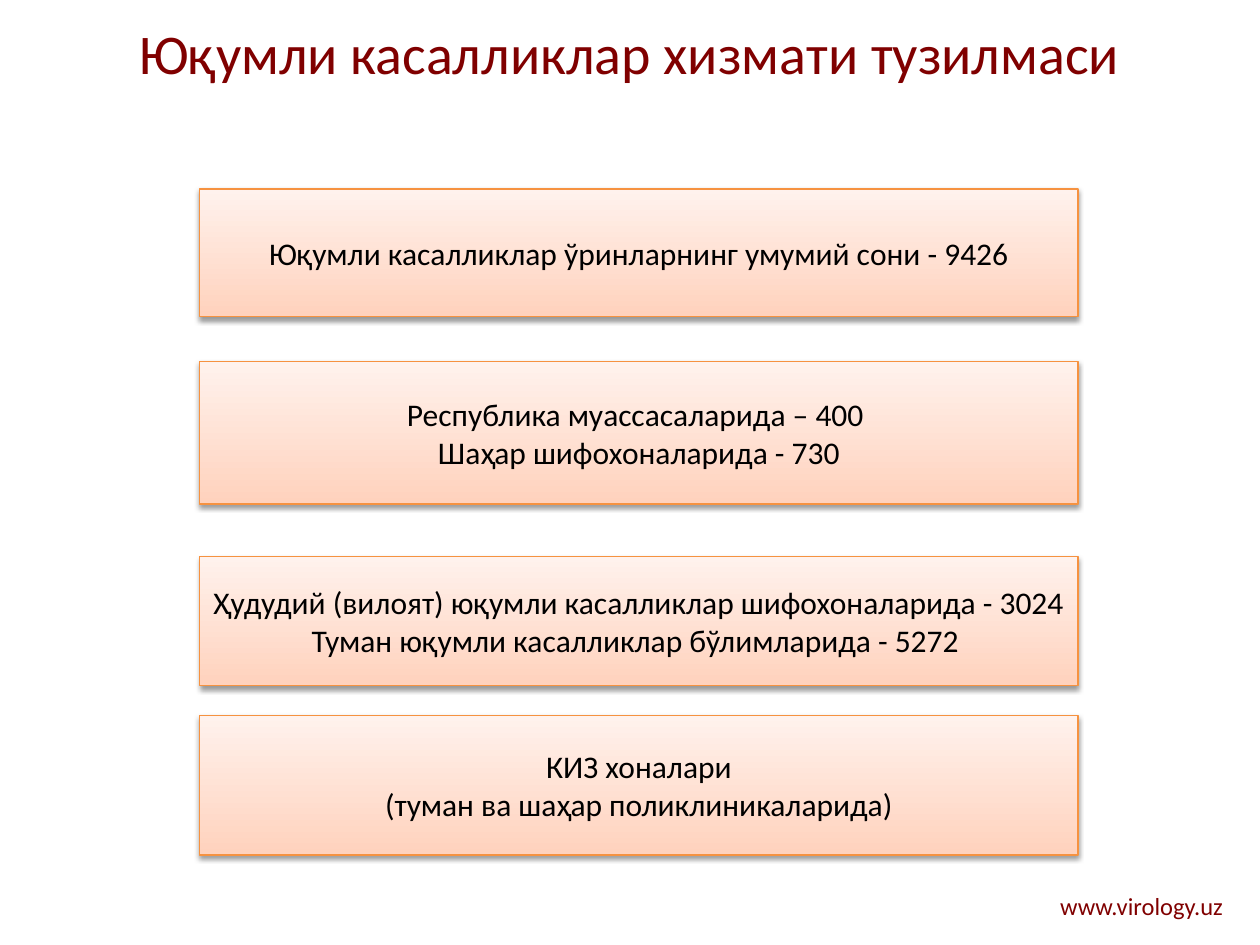
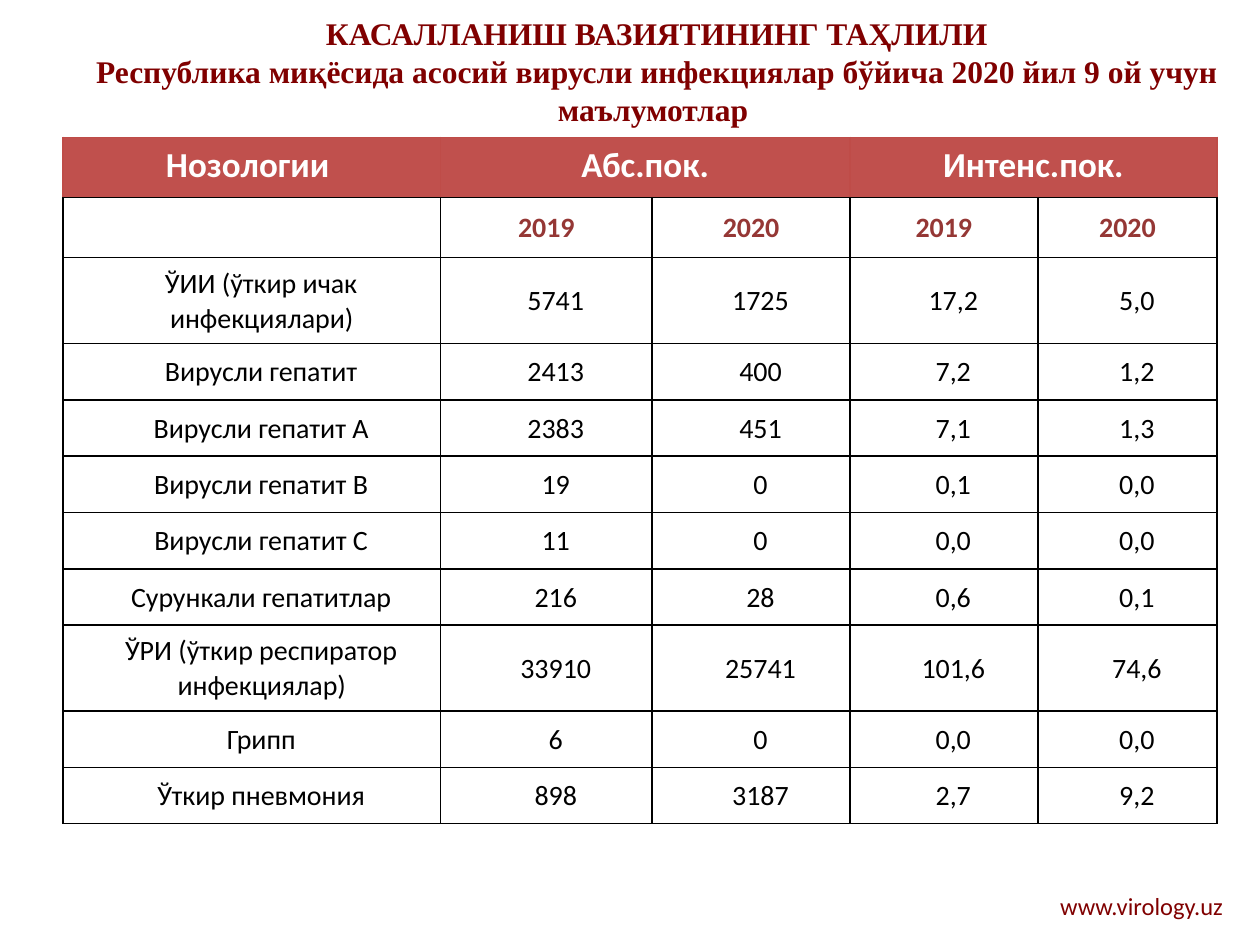
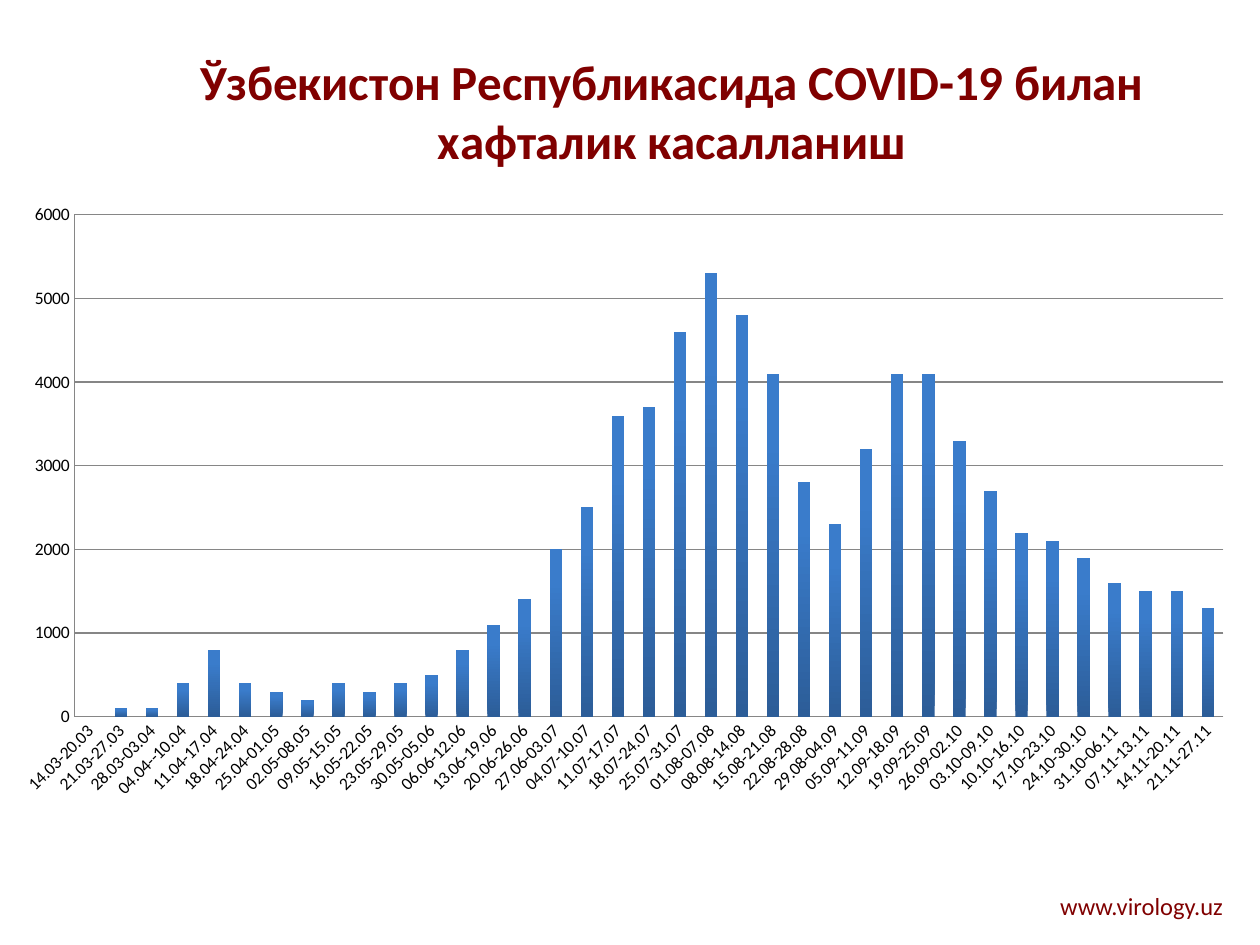
from pptx import Presentation
from pptx.chart.data import CategoryChartData
from pptx.dml.color import RGBColor
from pptx.enum.chart import XL_CHART_TYPE as ChartType, XL_TICK_MARK as TickMark
from pptx.enum.shapes import MSO_SHAPE as Preset
from pptx.enum.text import MSO_ANCHOR as Anchor, PP_ALIGN as Align
from pptx.oxml import parse_xml
from pptx.oxml.ns import nsdecls, qn
from pptx.util import Pt

MAROON = RGBColor(0x80, 0x00, 0x00)
BLACK = RGBColor(0x00, 0x00, 0x00)
WHITE = RGBColor(0xFF, 0xFF, 0xFF)
GRAY = RGBColor(0x86, 0x86, 0x86)
ORANGE = RGBColor(0xF6, 0x92, 0x40)
PEACH = RGBColor(0xFF, 0xD2, 0xBD)
PALE_PEACH = RGBColor(0xFF, 0xF2, 0xED)
HEADER_RED = RGBColor(0xC0, 0x50, 0x4D)
HEADER_EDGE = RGBColor(0xBF, 0x4C, 0x48)
YEAR_RED = RGBColor(0x95, 0x37, 0x35)
DARK_BLUE = RGBColor(0x2C, 0x5D, 0x98)
BLUE = RGBColor(0x3A, 0x7C, 0xCB)

TITLE = {"name": "Calibri", "size": Pt(32), "color": MAROON}
ANALYSIS_TITLE = {"name": "Times New Roman", "size": Pt(18), "color": MAROON, "bold": True}
CHART_TITLE = {"name": "Calibri", "size": Pt(28), "color": MAROON, "bold": True}
FOOTER = {"name": "Calibri", "size": Pt(14), "color": MAROON}
BOX_TEXT = {"name": "Calibri", "size": Pt(18), "color": BLACK}
HEADER_TEXT = {"name": "Calibri", "size": Pt(20), "color": WHITE, "bold": True}
YEAR_TEXT = {"name": "Calibri", "size": Pt(16), "color": YEAR_RED, "bold": True}
CELL_TEXT = {"name": "Calibri", "size": Pt(16), "color": BLACK, "bold": False}
AXIS_TEXT = {"name": "Calibri", "size": Pt(10), "color": BLACK}

BOX_LEFT, BOX_WIDTH = 114.2, 501.8
BED_BOXES = [  # top, height, lines
    (108, 73, ["Юқумли касалликлар ўринларнинг умумий сони - 9426"]),
    (206.6, 81.4, ["Республика муассасаларида – 400 ", "Шаҳар шифохоналарида - 730"]),
    (317.9, 73.8, ["Ҳудудий (вилоят) юқумли касалликлар шифохоналарида - 3024",
                   "Туман юқумли касалликлар бўлимларида - 5272 "]),
    (408.7, 80, ["КИЗ хоналари", "(туман ва шаҳар поликлиникаларида)"]),
]

COLUMN_WIDTHS = [215.7, 121, 113, 107.4, 102.4]
HEADER_HEIGHT, ROW_HEIGHT, TALL_ROW_HEIGHT = 34.4, 32.2, 49.1
HEADINGS = {0: "Нозологии ", 1: "Абс.пок.", 3: "Интенс.пок."}
YEARS = ["", "2019", "2020", "2019", "2020"]
CASES = [
    ["ЎИИ (ўткир ичак инфекциялари)", "5741", "1725", "17,2", "5,0"],
    ["Вирусли гепатит", "2413", "400", "7,2", "1,2"],
    ["Вирусли гепатит А", "2383", "451", "7,1", "1,3"],
    ["Вирусли гепатит В", "19", "0", "0,1", "0,0"],
    ["Вирусли гепатит С", "11", "0", "0,0", "0,0"],
    ["Сурункали гепатитлар", "216", "28", "0,6", "0,1"],
    ["ЎРИ (ўткир респиратор инфекциялар)", "33910", "25741", "101,6", "74,6"],
    ["Грипп", "6", "0", "0,0", "0,0"],
    ["Ўткир пневмония", "898", "3187", "2,7", "9,2"],
]

CHART_WIDTH, CHART_HEIGHT = 720, 473.8
WEEKLY_CASES = {
    "14.03-20.03": 0, "21.03-27.03": 100, "28.03-03.04": 100, "04.04--10.04": 400,
    "11.04-17.04": 800, "18.04-24.04": 400, "25.04-01.05": 300, "02.05-08.05": 200,
    "09.05-15.05": 400, "16.05-22.05": 300, "23.05-29.05": 400, "30.05-05.06": 500,
    "06.06-12.06": 800, "13.06-19.06": 1100, "20.06-26.06": 1400, "27.06-03.07": 2000,
    "04.07-10.07": 2500, "11.07-17.07": 3600, "18.07-24.07": 3700, "25.07-31.07": 4600,
    "01.08-07.08": 5300, "08.08-14.08": 4800, "15.08-21.08": 4100, "22.08-28.08": 2800,
    "29.08-04.09": 2300, "05.09-11.09": 3200, "12.09-18.09": 4100, "19.09-25.09": 4100,
    "26.09-02.10": 3300, "03.10-09.10": 2700, "10.10-16.10": 2200, "17.10-23.10": 2100,
    "24.10-30.10": 1900, "31.10-06.11": 1600, "07.11-13.11": 1500, "14.11-20.11": 1500,
    "21.11-27.11": 1300,
}


def format_font(font, style):
    for name, value in style.items():
        if name == "color":
            font.color.rgb = value
        else:
            setattr(font, name, value)


def write_lines(frame, lines, style, alignment=Align.CENTER):
    """Write each line as one paragraph of the text frame."""
    frame.word_wrap = True
    for index, line in enumerate(lines):
        paragraph = frame.add_paragraph() if index else frame.paragraphs[0]
        paragraph.alignment = alignment
        run = paragraph.add_run()
        run.text = line
        format_font(run.font, style)


def add_text(slide, bounds, lines, style, alignment=Align.CENTER, anchor=Anchor.MIDDLE):
    frame = slide.shapes.add_textbox(*map(Pt, bounds)).text_frame
    frame.vertical_anchor = anchor
    write_lines(frame, lines, style, alignment)


def add_slide(presentation):
    """Add a blank slide with the shared web address at the foot."""
    slide = presentation.slides.add_slide(presentation.slide_layouts[6])
    add_text(slide, (389.9, 505.4, 316.1, 24.5), ["www.virology.uz"], FOOTER,
             Align.RIGHT, Anchor.TOP)
    return slide


def fill_upwards(fill, bottom, top, reach=1.0):
    """Blend from the bottom colour to the top one, which is met at reach."""
    fill.gradient()
    fill.gradient_angle = 90
    for stop, color, position in zip(fill.gradient_stops, (bottom, top), (0, reach)):
        stop.color.rgb = color
        stop.position = position


def add_box(slide, top, height, lines):
    box = slide.shapes.add_shape(Preset.RECTANGLE, Pt(BOX_LEFT), Pt(top), Pt(BOX_WIDTH), Pt(height))
    fill_upwards(box.fill, PEACH, PALE_PEACH)
    box.line.color.rgb = ORANGE
    box.line.width = Pt(0.75)
    box.shadow.inherit = False
    effects = box.element.spPr.find(qn("a:effectLst"))
    effects.append(parse_xml(
        f'<a:outerShdw {nsdecls("a")} blurRad="{Pt(3.1)}" dist="{Pt(1.6)}" dir="5400000" '
        'rotWithShape="0"><a:srgbClr val="000000"><a:alpha val="38000"/></a:srgbClr></a:outerShdw>'))
    box.text_frame.vertical_anchor = Anchor.MIDDLE
    write_lines(box.text_frame, lines, BOX_TEXT)


def set_borders(cell, colors):
    """Draw the cell's sides; colors maps L, R, T and B, in that order."""
    properties = cell._tc.get_or_add_tcPr()
    for index, (side, color) in enumerate(colors.items()):
        properties.insert(index, parse_xml(
            f'<a:ln{side} {nsdecls("a")} w="{Pt(1)}"><a:solidFill><a:srgbClr val="{color}"/>'
            f'</a:solidFill></a:ln{side}>'))


def fill_cell(cell, text, style, color=WHITE, anchor=Anchor.MIDDLE):
    cell.fill.solid()
    cell.fill.fore_color.rgb = color
    cell.vertical_anchor = anchor
    write_lines(cell.text_frame, [text], style)


def indent_case_cell(cell):
    margins = {"margin_left": 5, "margin_right": 5, "margin_top": 0, "margin_bottom": 0}
    for name, value in margins.items():
        setattr(cell, name, Pt(value))
    paragraph = cell.text_frame.paragraphs[0]
    paragraph.line_spacing = 1.03
    properties = paragraph._p.get_or_add_pPr()
    properties.set("marL", str(Pt(11.5)))
    properties.set("indent", str(Pt(-0.7)))


def add_case_table(slide):
    heights = [HEADER_HEIGHT] * 2 + [
        TALL_ROW_HEIGHT if "(" in case[0] else ROW_HEIGHT for case in CASES]
    table = slide.shapes.add_table(len(heights), len(COLUMN_WIDTHS), Pt(36), Pt(78.5),
                                   Pt(sum(COLUMN_WIDTHS)), Pt(sum(heights))).table
    table.first_row = table.horz_banding = False
    for column, width in zip(table.columns, COLUMN_WIDTHS):
        column.width = Pt(width)
    for row, height in zip(table.rows, heights):
        row.height = Pt(height)

    for index in range(len(COLUMN_WIDTHS)):
        cell = table.cell(0, index)
        fill_cell(cell, HEADINGS.get(index, ""), HEADER_TEXT, HEADER_RED, Anchor.TOP)
        set_borders(cell, {"L": HEADER_EDGE, "R": HEADER_EDGE, "T": HEADER_EDGE, "B": BLACK})
    for first in (1, 3):
        table.cell(0, first).merge(table.cell(0, first + 1))

    for row_index, values in enumerate([YEARS] + CASES, start=1):
        for column_index, value in enumerate(values):
            cell = table.cell(row_index, column_index)
            fill_cell(cell, value, YEAR_TEXT if row_index == 1 else CELL_TEXT)
            if row_index > 1:
                indent_case_cell(cell)
            set_borders(cell, dict.fromkeys("LRTB", BLACK))


def set_layout(parent, index, target="", **points):
    """Fix a chart part's place, given in points within the chart area."""
    for layout in parent.findall(qn("c:layout")):
        parent.remove(layout)
    sizes = {"x": CHART_WIDTH, "w": CHART_WIDTH, "y": CHART_HEIGHT, "h": CHART_HEIGHT}
    modes = "".join(f'<c:{name}Mode val="edge"/>' for name in ("x", "y"))
    values = "".join(f'<c:{name} val="{value / sizes[name]:.4f}"/>'
                     for name, value in points.items())
    parent.insert(index, parse_xml(
        f'<c:layout {nsdecls("c")}><c:manualLayout>{target}{modes}{values}'
        '</c:manualLayout></c:layout>'))


def add_weekly_chart(slide):
    data = CategoryChartData()
    data.categories = list(WEEKLY_CASES)
    data.add_series("Series 1", list(WEEKLY_CASES.values()))
    chart = slide.shapes.add_chart(ChartType.COLUMN_STACKED, Pt(-10.1), Pt(23), Pt(CHART_WIDTH),
                                   Pt(CHART_HEIGHT), data).chart
    format_font(chart.font, AXIS_TEXT)
    chart.has_legend = False
    chart.has_title = True
    write_lines(chart.chart_title.text_frame,
                ["Ўзбекистон Республикасида COVID-19 билан хафталик касалланиш"], CHART_TITLE)

    plot = chart.plots[0]
    plot.gap_width = 150
    plot.overlap = 100
    plot.vary_by_categories = False
    fill_upwards(plot.series[0].format.fill, DARK_BLUE, BLUE, reach=0.8)

    value_axis = chart.value_axis
    value_axis.minimum_scale, value_axis.maximum_scale, value_axis.major_unit = 0, 6000, 1000
    value_axis.has_major_gridlines = True
    for axis in (chart.category_axis, value_axis):
        axis.major_tick_mark = TickMark.NONE
        format_font(axis.tick_labels.font, AXIS_TEXT)
    for part in (chart.category_axis, value_axis, value_axis.major_gridlines):
        part.format.line.color.rgb = GRAY
        part.format.line.width = Pt(0.75)

    chart.element.xpath(".//c:catAx/c:txPr/a:bodyPr")[0].set("rot", "-2700000")
    set_layout(chart.element.xpath(".//c:chart/c:title")[0], 1, x=119.5, y=-5.5)
    set_layout(chart.element.xpath(".//c:plotArea")[0], 0, '<c:layoutTarget val="inner"/>',
               x=52.6, y=99.8, w=656.6, h=286.8)


def main():
    presentation = Presentation()
    presentation.slide_width, presentation.slide_height = Pt(720), Pt(540)

    structure = add_slide(presentation)
    add_text(structure, (14, 9.4, 692, 41), ["Юқумли касалликлар хизмати тузилмаси"], TITLE)
    for box in BED_BOXES:
        add_box(structure, *box)

    analysis = add_slide(presentation)
    add_text(analysis, (15, 20, 720.7, 41), [
        "КАСАЛЛАНИШ ВАЗИЯТИНИНГ ТАҲЛИЛИ",
        "Республика миқёсида асосий вирусли инфекциялар бўйича 2020 йил 9 ой учун маълумотлар ",
    ], ANALYSIS_TITLE)
    add_case_table(analysis)

    add_weekly_chart(add_slide(presentation))
    presentation.save("out.pptx")


if __name__ == "__main__":
    main()
